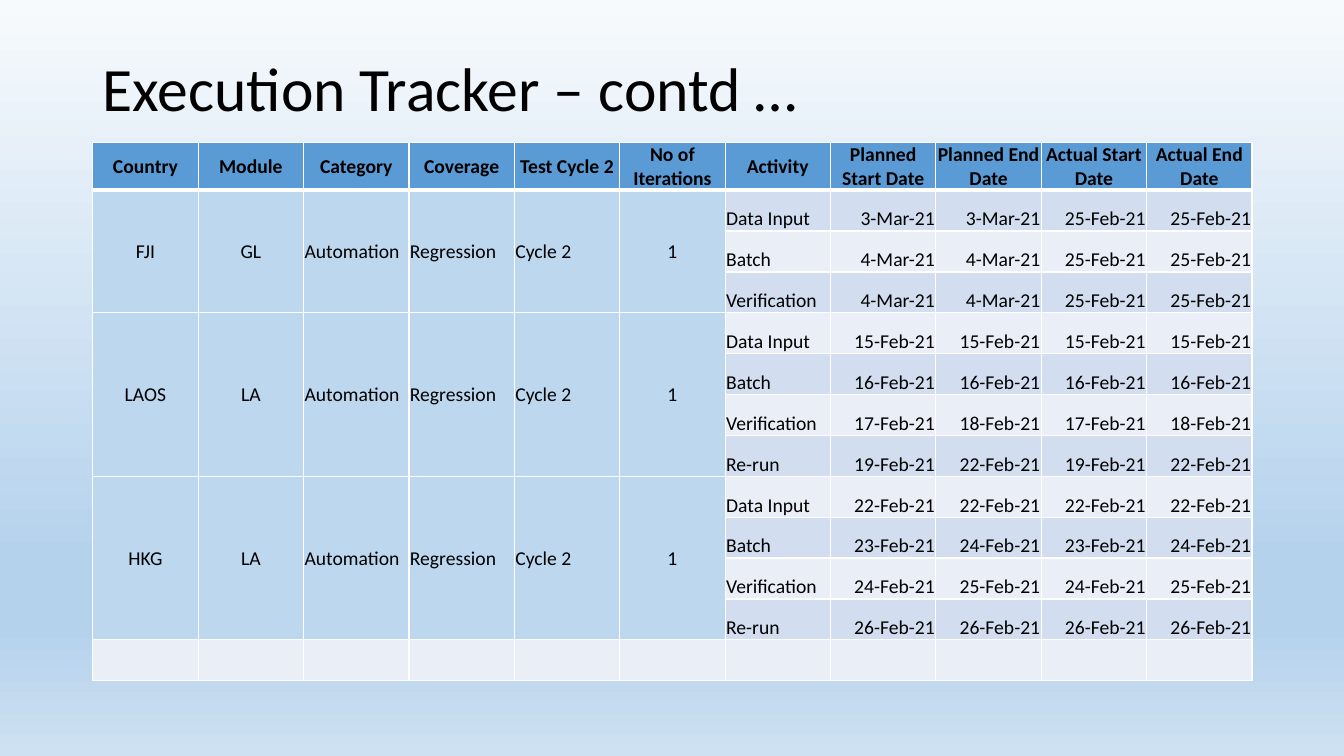
from dataclasses import dataclass
from lxml.etree import SubElement
from pptx import Presentation
from pptx.dml.color import RGBColor
from pptx.enum.text import MSO_ANCHOR, PP_ALIGN
from pptx.oxml import parse_xml
from pptx.oxml.ns import nsdecls, qn
from pptx.util import Emu, Inches, Pt


@dataclass(frozen=True)
class Theme:
    """Colours, font and type sizes of the slide."""
    font: str = "Calibri"
    title_size: int = 44
    table_size: int = 14
    ink: str = "000000"
    header: str = "5B9BD5"
    group: str = "BDD7EE"
    bands: tuple = ("D2DEEF", "EAEFF7")
    border: str = "FFFFFF"
    backdrop: tuple = ((0, "F7FAFD"), (74, "B5D2EC"), (83, "B5D2EC"), (100, "CEE1F2"))


THEME = Theme()
WIDTH, HEIGHT = Inches(13.33), Inches(7.5)
LEFT, CONTENT_WIDTH = Inches(0.92), Inches(11.5)
TITLE_TOP, TITLE_HEIGHT = Inches(0.4), Inches(1.01)
ROW_HEIGHT = Emu(int(HEIGHT * 0.0541))
L, C, R = PP_ALIGN.LEFT, PP_ALIGN.CENTER, PP_ALIGN.RIGHT

HEADINGS = ("Country", "Module", "Category", "Coverage", "Test Cycle 2", "No of Iterations",
            "Activity", "Planned Start Date", "Planned End Date", "Actual Start Date",
            "Actual End Date")
GROUP_ALIGNMENTS = (C, C, L, L, L, C)
ACTIVITY_ALIGNMENTS = (L, R, R, R, R)
COMMON_DETAILS = ("Automation", "Regression", "Cycle 2", "1")
COUNTRIES = (
    (("FJI", "GL"), (
        ("Data Input", "3-Mar-21", "3-Mar-21", "25-Feb-21", "25-Feb-21"),
        ("Batch", "4-Mar-21", "4-Mar-21", "25-Feb-21", "25-Feb-21"),
        ("Verification", "4-Mar-21", "4-Mar-21", "25-Feb-21", "25-Feb-21"))),
    (("LAOS", "LA"), (
        ("Data Input", "15-Feb-21", "15-Feb-21", "15-Feb-21", "15-Feb-21"),
        ("Batch", "16-Feb-21", "16-Feb-21", "16-Feb-21", "16-Feb-21"),
        ("Verification", "17-Feb-21", "18-Feb-21", "17-Feb-21", "18-Feb-21"),
        ("Re-run", "19-Feb-21", "22-Feb-21", "19-Feb-21", "22-Feb-21"))),
    (("HKG", "LA"), (
        ("Data Input", "22-Feb-21", "22-Feb-21", "22-Feb-21", "22-Feb-21"),
        ("Batch", "23-Feb-21", "24-Feb-21", "23-Feb-21", "24-Feb-21"),
        ("Verification", "24-Feb-21", "25-Feb-21", "24-Feb-21", "25-Feb-21"),
        ("Re-run", "26-Feb-21", "26-Feb-21", "26-Feb-21", "26-Feb-21"))),
)


def paint_background(slide):
    """Fill the slide with the vertical gradient."""
    fill = slide.background.fill
    fill.gradient()
    fill.gradient_angle = 270
    stops = slide.element.find(".//" + qn("a:gsLst"))
    stops.clear()
    for percent, colour in THEME.backdrop:
        stop = SubElement(stops, qn("a:gs"), pos=str(percent * 1000))
        SubElement(stop, qn("a:srgbClr"), val=colour)


def style_paragraph(paragraph, size, bold=False, align=L):
    """Set the font and alignment of a paragraph."""
    paragraph.alignment = align
    font = paragraph.font
    font.name, font.size, font.bold = THEME.font, Pt(size), bold
    font.color.rgb = RGBColor.from_string(THEME.ink)


def add_title(slide, wording):
    """Add the slide title."""
    frame = slide.shapes.add_textbox(LEFT, TITLE_TOP, CONTENT_WIDTH, TITLE_HEIGHT).text_frame
    frame.word_wrap = True
    frame.vertical_anchor = MSO_ANCHOR.MIDDLE
    heading = frame.paragraphs[0]
    heading.text = wording
    heading.line_spacing = 0.9
    style_paragraph(heading, THEME.title_size)


def set_borders(cell, bottom_width):
    """Draw the four borders of a cell."""
    sides = (("L", 1), ("R", 1), ("T", 1), ("B", bottom_width))
    for index, (side, width) in enumerate(sides):
        cell._tc.get_or_add_tcPr().insert(index, parse_xml(
            f'<a:ln{side} {nsdecls("a")} w="{Pt(width)}"><a:solidFill>'
            f'<a:srgbClr val="{THEME.border}"/></a:solidFill></a:ln{side}>'))


def fill_cell(cell, wording, colour, align=L, anchor=MSO_ANCHOR.MIDDLE, bold=False,
              bottom_width=1):
    """Write and style one table cell."""
    cell.margin_left = cell.margin_right = cell.margin_top = Inches(0.01)
    cell.margin_bottom = 0
    cell.vertical_anchor = anchor
    cell.fill.solid()
    cell.fill.fore_color.rgb = RGBColor.from_string(colour)
    set_borders(cell, bottom_width)
    paragraph = cell.text_frame.paragraphs[0]
    if wording:
        paragraph.text = wording
    style_paragraph(paragraph, THEME.table_size, bold, align)


def fill_country(table, top, details, activities):
    """Write the merged details of a country and its activity rows."""
    bottom = top + len(activities) - 1
    for column, (wording, align) in enumerate(zip(details, GROUP_ALIGNMENTS)):
        for row in range(top, bottom + 1):
            fill_cell(table.cell(row, column), wording if row == top else "",
                      THEME.group, align)
        table.cell(top, column).merge(table.cell(bottom, column))
    for row, activity in enumerate(activities, top):
        for column, (wording, align) in enumerate(zip(activity, ACTIVITY_ALIGNMENTS),
                                                  len(details)):
            fill_cell(table.cell(row, column), wording, THEME.bands[(row - 1) % 2],
                      align, MSO_ANCHOR.BOTTOM)


def add_tracker(slide):
    """Add the execution table with its empty closing row."""
    row_count = 2 + sum(len(activities) for _, activities in COUNTRIES)
    table = slide.shapes.add_table(row_count, len(HEADINGS), LEFT, TITLE_TOP + TITLE_HEIGHT,
                                   CONTENT_WIDTH, ROW_HEIGHT * row_count).table
    table.horz_banding = False
    for column, heading in enumerate(HEADINGS):
        fill_cell(table.cell(0, column), heading, THEME.header, C, bold=True, bottom_width=3)
        fill_cell(table.cell(row_count - 1, column), "", THEME.bands[row_count % 2])
    top = 1
    for country, activities in COUNTRIES:
        fill_country(table, top, country + COMMON_DETAILS, activities)
        top += len(activities)


def main():
    """Build and save the slide."""
    deck = Presentation()
    deck.slide_width, deck.slide_height = WIDTH, HEIGHT
    slide = deck.slides.add_slide(deck.slide_layouts[6])
    paint_background(slide)
    add_title(slide, "Execution Tracker – contd …")
    add_tracker(slide)
    deck.save("out.pptx")


if __name__ == "__main__":
    main()
